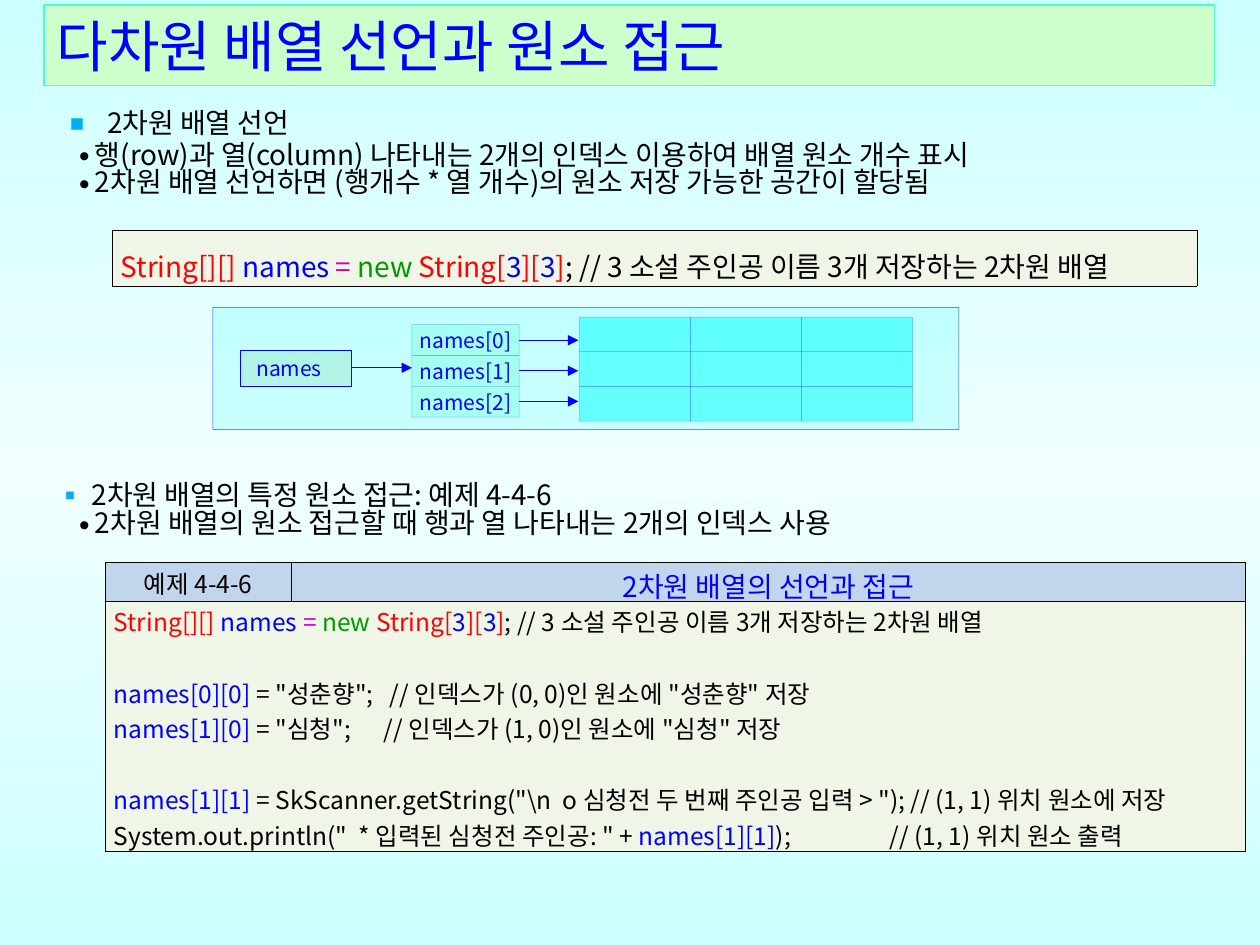
from dataclasses import dataclass

from lxml import etree
from pptx import Presentation
from pptx import util as u
from pptx.dml.color import RGBColor
from pptx.enum import shapes, text
from pptx.oxml import ns

Pt = u.Pt


@dataclass(frozen=True)
class Theme:
    font: str = "Noto Sans CJK KR"
    black: str = "000000"
    blue: str = "0000FF"
    red: str = "FF0000"
    green: str = "009900"
    magenta: str = "CC00CC"
    cyan: str = "00FFFF"
    label: str = "85FFE0"
    bullet: str = "00B0F0"
    title_fill: str = "CCFFCC"
    title_line: str = "47FFD1"
    code_fill: str = "EFF6E7"
    head_fill: str = "C1D6ED"
    background: tuple = ((0, "CCFFFF"), (50, "F0FFFF"), (100, "CCFFFF"))
    title_size: int = 32
    body_size: int = 16
    code_size: int = 14
    label_size: int = 12


T = Theme()

DECLARATION = [
    ("String[][] ", T.red), ("names ", T.blue), ("=", T.magenta),
    (" new ", T.green), ("String[", T.red), ("3", T.blue), ("][", T.red),
    ("3", T.blue), ("]", T.red),
    ("; // 3 소설 주인공 이름 3개 저장하는 2차원 배열", T.black),
]
# Each code line: space before in points, then its coloured pieces
CODE = [
    (0, DECLARATION),
    (20.3, [("names[0][0] ", T.blue),
            ('= "성춘향";   // 인덱스가 (0, 0)인 원소에 "성춘향" 저장', T.black)]),
    (0, [("names[1][0] ", T.blue),
         ('= "심청";      // 인덱스가 (1, 0)인 원소에 "심청" 저장', T.black)]),
    (20.3, [("names[1][1] ", T.blue),
            ('= SkScanner.getString("\\n  o 심청전 두 번째 주인공 입력 > "); '
             '// (1, 1) 위치 원소에 저장', T.black)]),
    (0, [('System.out.println("  * 입력된 심청전 주인공: " + ', T.black),
         ("names[1][1]", T.blue),
         (");                  // (1, 1) 위치 원소 출력", T.black)]),
]


def sub(parent, tag, **attrs):
    return etree.SubElement(parent, ns.qn(tag), attrs)


def style(r, size, color):
    r.font.size = Pt(size)
    r.font.color.rgb = RGBColor.from_string(color)
    r.font.name = T.font
    sub(r.font._element, "a:ea", typeface=T.font)


def write(p, pieces, size):
    for words, color in pieces:
        r = p.add_run()
        r.text = words
        style(r, size, color)


def set_insets(tf, left, top, right, bottom):
    tf.margin_left, tf.margin_top = Pt(left), Pt(top)
    tf.margin_right, tf.margin_bottom = Pt(right), Pt(bottom)


def set_alpha(solid_owner, percent):
    color = solid_owner.find(ns.qn("a:solidFill")).find(ns.qn("a:srgbClr"))
    sub(color, "a:alpha", val=str(percent * 1000))


def add_background(s):
    s.background.fill.gradient()
    s.background.fill.gradient_angle = 270
    stops = next(s.element.iter(ns.qn("a:gsLst")))
    for stop in list(stops):
        stops.remove(stop)
    for pos, color in T.background:
        sub(sub(stops, "a:gs", pos=str(pos * 1000)), "a:srgbClr", val=color)


def add_title(s, words):
    sp = s.shapes.title
    sp.left, sp.top, sp.width, sp.height = Pt(25.2), Pt(2.9), Pt(669), Pt(46)
    sp.fill.solid()
    sp.fill.fore_color.rgb = RGBColor.from_string(T.title_fill)
    sp.line.color.rgb = RGBColor.from_string(T.title_line)
    sp.line.width = Pt(0.75)
    tf = sp.text_frame
    tf.text = words
    tf.auto_size = text.MSO_AUTO_SIZE.NONE
    tf.vertical_anchor = text.MSO_ANCHOR.MIDDLE
    set_insets(tf, 7.2, 0, 7.2, 0)
    p = tf.paragraphs[0]
    p.alignment = text.PP_ALIGN.LEFT
    style(p.runs[0], T.title_size, T.blue)


def set_bullet(p, char, color, size, margin, hang):
    pPr = p._p.get_or_add_pPr()
    pPr.set("marL", str(Pt(margin)))
    pPr.set("indent", str(-Pt(hang)))
    sub(sub(pPr, "a:buClr"), "a:srgbClr", val=color)
    sub(pPr, "a:buSzPct", val=str(size * 1000))
    sub(pPr, "a:buFont", typeface=T.font)
    sub(pPr, "a:buChar", char=char)


def add_section(s, top, height, inset, head, points, bullet_size, indent, gap):
    sp = s.shapes.add_textbox(Pt(25.2), Pt(top), Pt(669), Pt(height))
    tf = sp.text_frame
    tf.word_wrap = True
    set_insets(tf, 7.2, inset, 7.2, 3.6)
    tf.text = "\n".join([head] + points)
    for i, p in enumerate(tf.paragraphs):
        if i == 0:
            set_bullet(p, "▪", T.bullet, bullet_size, indent, indent)
        else:
            set_bullet(p, "∙", T.black, 100, 22, 11)
        p.line_spacing = 0.82
        if i == 1:
            p.space_before = Pt(gap)
        style(p.runs[0], T.body_size, T.black)


def add_box(s, x, y, w, h, fill, alpha, line_alpha, words="", right_inset=0):
    sp = s.shapes.add_shape(shapes.MSO_SHAPE.ROUNDED_RECTANGLE,
                            Pt(x), Pt(y), Pt(w), Pt(h))
    sp.adjustments[0] = 0
    sp.shadow.inherit = False
    sp.fill.solid()
    sp.fill.fore_color.rgb = RGBColor.from_string(fill)
    set_alpha(sp.element.spPr, alpha)
    sp.line.color.rgb = RGBColor.from_string(T.blue)
    sp.line.width = Pt(0.25)
    set_alpha(sp.element.spPr.find(ns.qn("a:ln")), line_alpha)
    if words:
        tf = sp.text_frame
        set_insets(tf, 0, 0, right_inset, 0)
        tf.vertical_anchor = text.MSO_ANCHOR.MIDDLE
        tf.text = words
        tf.paragraphs[0].alignment = text.PP_ALIGN.CENTER
        style(tf.paragraphs[0].runs[0], T.label_size, T.blue)


def add_arrow(s, x1, x2, y):
    c = s.shapes.add_connector(shapes.MSO_CONNECTOR.STRAIGHT,
                               Pt(x1), Pt(y), Pt(x2), Pt(y))
    c.line.color.rgb = RGBColor.from_string(T.blue)
    c.line.width = Pt(0.75)
    sub(c.line._get_or_add_ln(), "a:tailEnd", type="triangle")
    sub(c._element.spPr, "a:effectLst")


def add_grid(s, x, y, cols, rows):
    tbl = s.shapes.add_table(len(rows), len(cols), Pt(x), Pt(y),
                             Pt(sum(cols)), Pt(sum(rows))).table
    tbl.first_row = tbl.horz_banding = False
    for col, width in zip(tbl.columns, cols):
        col.width = Pt(width)
    for row, height in zip(tbl.rows, rows):
        row.height = Pt(height)
    return tbl


def format_cell(cell, fill):
    set_insets(cell, 5, 1.4, 5, 1.4)
    cell.vertical_anchor = text.MSO_ANCHOR.MIDDLE
    tcPr = cell._tc.get_or_add_tcPr()
    for side in ("a:lnL", "a:lnR", "a:lnT", "a:lnB"):
        ln = sub(tcPr, side, w=str(Pt(0.28)))
        sub(sub(ln, "a:solidFill"), "a:srgbClr", val=T.black)
    cell.fill.solid()
    cell.fill.fore_color.rgb = RGBColor.from_string(fill)


def add_declaration(s):
    cell = add_grid(s, 64, 131.8, [620], [31.7]).cell(0, 0)
    format_cell(cell, T.code_fill)
    p = cell.text_frame.paragraphs[0]
    p.line_spacing = 1.3
    write(p, DECLARATION, T.body_size)


def add_diagram(s):
    add_box(s, 121.7, 175.7, 426.2, 69.8, T.cyan, 15, 75)
    add_box(s, 137.5, 200.2, 63.4, 20.2, T.green, 10, 100, "names", 8)
    add_arrow(s, 200.9, 235.4, 210.2)
    for i in range(3):
        add_box(s, 235.4, 185.5 + 17.6 * i, 61.2, 17.6, T.label, 50, 30, f"names[{i}]")
        add_arrow(s, 296.6, 330.5, 194.4 + 17.5 * i)
        for j in range(3):
            add_box(s, 331 + 63.5 * j, 181.2 + 19.8 * i, 63.5, 19.8, T.cyan, 50, 30)


def add_example(s):
    tbl = add_grid(s, 60, 321.3, [106.6, 545], [18, 143.3])
    heads = [("예제 4-4-6", T.code_size, T.black),
             ("2차원 배열의 선언과 접근", T.body_size, T.blue)]
    for i, (words, size, color) in enumerate(heads):
        cell = tbl.cell(0, i)
        format_cell(cell, T.head_fill)
        p = cell.text_frame.paragraphs[0]
        p.alignment = text.PP_ALIGN.CENTER
        write(p, [(words, color)], size)
    body = tbl.cell(1, 0)
    body.merge(tbl.cell(1, 1))
    for i in range(2):
        format_cell(tbl.cell(1, i), T.code_fill)
    tf = body.text_frame
    for i, (gap, pieces) in enumerate(CODE):
        p = tf.add_paragraph() if i else tf.paragraphs[0]
        if gap:
            p.space_before = Pt(gap)
        write(p, pieces, T.code_size)


def main():
    prs = Presentation()
    prs.slide_width, prs.slide_height = Pt(720), Pt(540)
    s = prs.slides.add_slide(prs.slide_layouts[5])
    add_background(s)
    add_title(s, "다차원 배열 선언과 원소 접근")

    # Declaring a two-dimensional array
    add_section(s, 51.8, 74, 12, "2차원 배열 선언", [
        "행(row)과 열(column) 나타내는 2개의 인덱스 이용하여 배열 원소 개수 표시",
        "2차원 배열 선언하면 (행개수 * 열 개수)의 원소 저장 가능한 공간이 할당됨",
    ], 150, 29, 2.3)
    add_declaration(s)
    add_diagram(s)

    # Accessing one element
    add_section(s, 273, 46, 3.6, "2차원 배열의 특정 원소 접근: 예제 4-4-6", [
        "2차원 배열의 원소 접근할 때 행과 열 나타내는 2개의 인덱스 사용",
    ], 100, 20, 0)
    add_example(s)
    prs.save("out.pptx")


if __name__ == "__main__":
    main()
